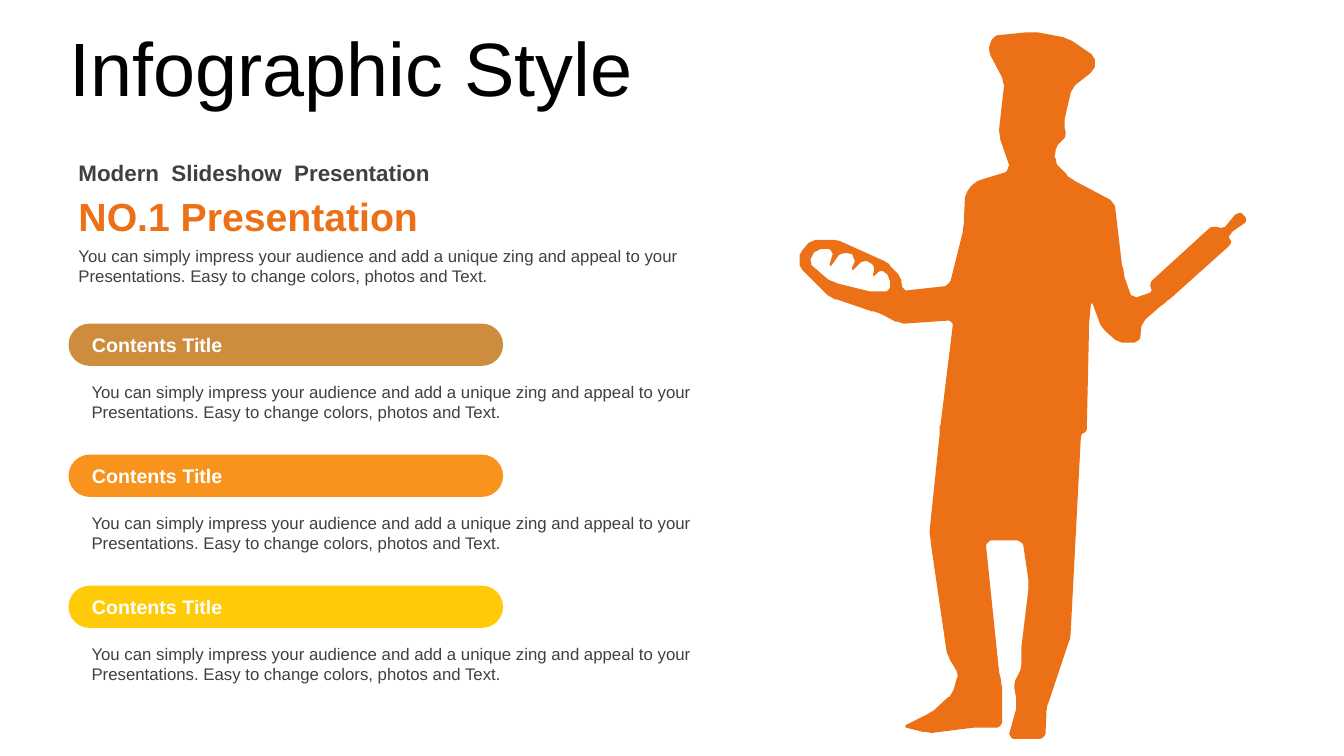
from dataclasses import dataclass
from math import dist

from pptx import Presentation
from pptx.dml.color import RGBColor
from pptx.enum.shapes import MSO_SHAPE
from pptx.enum.text import MSO_ANCHOR, PP_ALIGN
from pptx.shapes.autoshape import Shape
from pptx.slide import Slide
from pptx.text.text import _Paragraph as Paragraph
from pptx.util import Inches, Pt

BLACK = RGBColor(0x00, 0x00, 0x00)
WHITE = RGBColor(0xFF, 0xFF, 0xFF)
GREY = RGBColor(0x40, 0x40, 0x40)
BROWN = RGBColor(0xCE, 0x8D, 0x3E)
AMBER = RGBColor(0xF8, 0x93, 0x1D)
YELLOW = RGBColor(0xFF, 0xCA, 0x08)
ORANGE = RGBColor(0xEC, 0x70, 0x16)

FONT = "Arial"
DESCRIPTION = (
    "You can simply impress your audience and add a unique zing and appeal "
    "to your Presentations. Easy to change colors, photos and Text."
)
FIRST_SECTION_TOP = 3.21
SECTION_PITCH = 1.3
UNITS_PER_INCH = 100
CORNER_CUT = 4

Outline = list[tuple[float, float]]

CHEF_OUTLINE: Outline = [
    (793, 250), (806, 238), (830, 238), (880, 260), (894, 276), (895, 289),
    (942, 283), (956, 225), (957, 193), (966, 181), (1002, 169), (991, 133),
    (996, 79), (980, 52), (984, 36), (1024, 31), (1060, 38), (1087, 57),
    (1085, 70), (1063, 87), (1055, 123), (1058, 135), (1047, 146),
    (1046, 160), (1061, 177), (1105, 200), (1114, 269), (1122, 296),
    (1144, 290), (1139, 281), (1204, 223), (1213, 228), (1228, 209),
    (1239, 218), (1218, 233), (1222, 242), (1156, 300), (1133, 319),
    (1130, 340), (1110, 340), (1093, 326), (1082, 297), (1080, 329),
    (1078, 429), (1072, 430), (1062, 632), (1038, 702), (1037, 733),
    (1000, 733), (1009, 698), (1005, 677), (1014, 663), (1012, 648),
    (1021, 580), (1014, 536), (978, 536), (990, 662), (994, 680),
    (994, 722), (970, 722), (920, 727), (894, 721), (922, 708), (944, 689),
    (951, 668), (940, 652), (922, 532), (932, 426), (946, 318), (893, 321),
    (870, 310), (825, 296), (793, 266),
]
BREAD_CUTOUT: Outline = [
    (802, 261), (825, 280), (867, 290), (884, 288), (882, 275), (875, 267),
    (864, 276), (869, 264), (856, 257), (844, 271), (849, 254), (835, 249),
    (822, 267), (827, 247), (809, 247),
]


@dataclass(frozen=True)
class Caption:
    text: str
    left: float
    top: float
    width: float
    height: float
    size: int
    color: RGBColor
    bold: bool = False


@dataclass(frozen=True)
class Section:
    heading: str
    color: RGBColor


INTRODUCTION = [
    Caption("Modern  Slideshow  Presentation", 0.68, 1.53, 6.45, 0.37, 16, GREY, True),
    Caption("NO.1 Presentation", 0.68, 1.86, 6.45, 0.57, 28, ORANGE, True),
    Caption(DESCRIPTION, 0.68, 2.39, 6.5, 0.5, 12, GREY),
]
SECTIONS = [Section("Contents Title", color) for color in (BROWN, AMBER, YELLOW)]


def style(para: Paragraph, size: int, color: RGBColor, bold: bool = False) -> None:
    para.alignment = PP_ALIGN.LEFT
    para.font.name = FONT
    para.font.size = Pt(size)
    para.font.bold = bold
    para.font.color.rgb = color


def paint(shape: Shape, color: RGBColor) -> None:
    shape.shadow.inherit = False
    shape.fill.solid()
    shape.fill.fore_color.rgb = color
    shape.line.fill.background()


def add_title(page: Slide, text: str) -> None:
    title = page.shapes.title
    title.left, title.top = Inches(0.59), Inches(0.32)
    title.width, title.height = Inches(6.89), Inches(0.79)
    title.text_frame.text = text
    title.text_frame.vertical_anchor = MSO_ANCHOR.MIDDLE
    para = title.text_frame.paragraphs[0]
    para.line_spacing = 0.9
    para.space_before = Pt(10)
    style(para, 54, BLACK)


def add_caption(page: Slide, caption: Caption) -> None:
    box = page.shapes.add_textbox(
        Inches(caption.left), Inches(caption.top),
        Inches(caption.width), Inches(caption.height),
    )
    box.text_frame.word_wrap = True
    box.text_frame.text = caption.text
    style(box.text_frame.paragraphs[0], caption.size, caption.color, caption.bold)


def add_section(page: Slide, section: Section, top: float) -> None:
    pill = page.shapes.add_shape(
        MSO_SHAPE.ROUNDED_RECTANGLE,
        Inches(0.68), Inches(top), Inches(4.31), Inches(0.42),
    )
    pill.adjustments[0] = 0.5
    paint(pill, section.color)
    frame = pill.text_frame
    frame.margin_left = Inches(0.17)
    frame.vertical_anchor = MSO_ANCHOR.MIDDLE
    frame.text = section.heading
    style(frame.paragraphs[0], 14, WHITE, True)
    add_caption(page, Caption(DESCRIPTION, 0.81, top + 0.53, 6.37, 0.5, 12, GREY))


def round_corners(outline: Outline, cut: float) -> Outline:
    rounded: Outline = []
    for (x1, y1), (x2, y2) in zip(outline, outline[1:] + outline[:1]):
        share = min(0.25, cut / dist((x1, y1), (x2, y2)))
        for part in (share, 1 - share):
            rounded.append((x1 + (x2 - x1) * part, y1 + (y2 - y1) * part))
    return rounded


def add_chef(page: Slide) -> None:
    chef, bread = (
        round_corners(round_corners(outline, CORNER_CUT), CORNER_CUT / 4)
        for outline in (CHEF_OUTLINE, BREAD_CUTOUT)
    )
    builder = page.shapes.build_freeform(
        *chef[0], scale=Inches(1) / UNITS_PER_INCH
    )
    builder.add_line_segments(chef[1:])
    builder.move_to(*bread[0])
    builder.add_line_segments(bread[1:])
    paint(builder.convert_to_shape(), ORANGE)


def main() -> None:
    deck = Presentation()
    deck.slide_width, deck.slide_height = Inches(13.33), Inches(7.5)
    page = deck.slides.add_slide(deck.slide_layouts[5])
    add_title(page, "Infographic Style")
    for caption in INTRODUCTION:
        add_caption(page, caption)
    for index, section in enumerate(SECTIONS):
        add_section(page, section, FIRST_SECTION_TOP + index * SECTION_PITCH)
    add_chef(page)
    deck.save("out.pptx")


if __name__ == "__main__":
    main()
